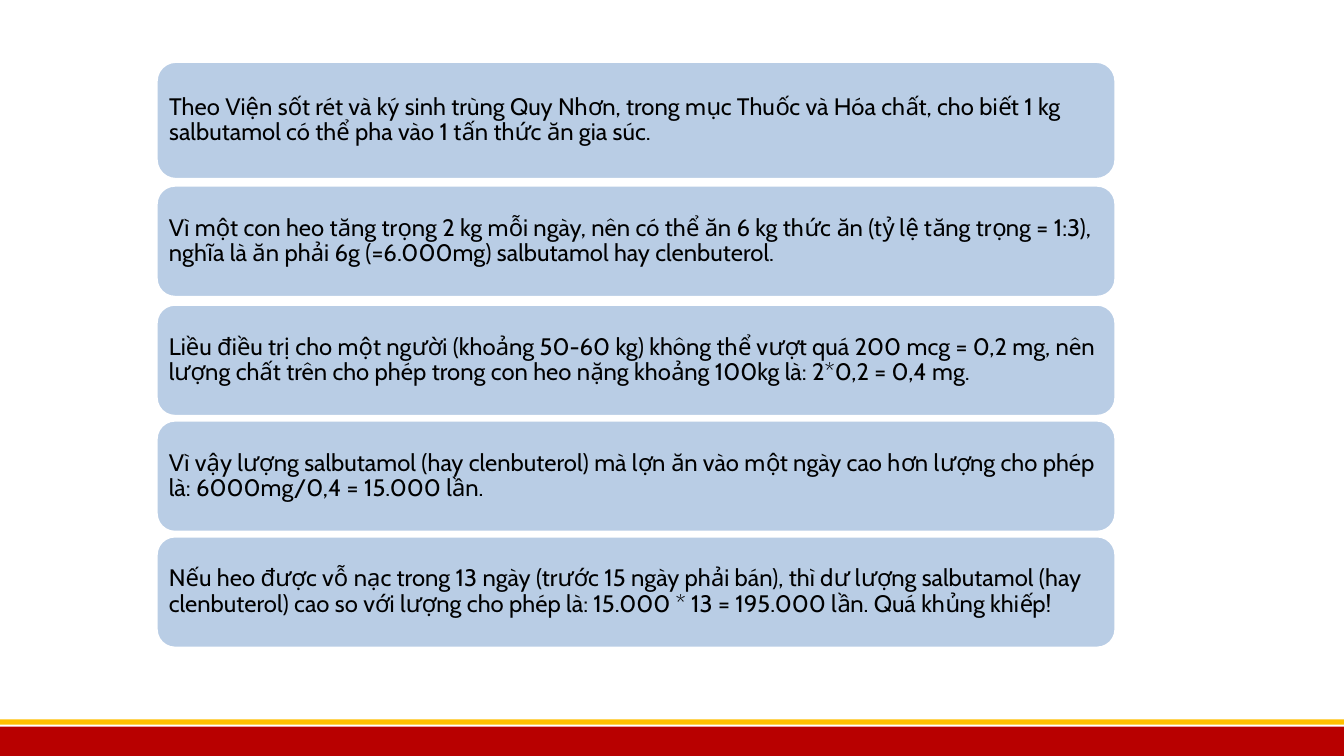
"""Builds a slide of five stacked text cards above a red and gold footer."""
from pptx import Presentation
from pptx.dml.color import RGBColor
from pptx.enum import shapes, text
from pptx.util import Cm, Pt

COLORS = {"red": "B80000", "gold": "FFC000", "card": "B9CDE5",
          "white": "FFFFFF", "black": "000000"}

CARDS = [
    (1.55, 2.97, "Theo Viện sốt rét và ký sinh trùng Quy Nhơn, trong mục Thuốc và Hóa chất, "
     "cho biết 1 kg salbutamol có thể pha vào 1 tấn thức ăn gia súc."),
    (4.67, 2.82, "Vì một con heo tăng trọng 2 kg mỗi ngày, nên có thể ăn 6 kg thức ăn "
     "(tỷ lệ tăng trọng = 1:3), nghĩa là ăn phải 6g (=6.000mg) salbutamol hay clenbuterol."),
    (7.67, 2.82, "Liều điều trị cho một người (khoảng 50-60 kg) không thể vượt quá "
     "200 mcg = 0,2 mg, nên lượng chất trên cho phép trong con heo nặng khoảng 100kg là: "
     "2*0,2 = 0,4 mg."),
    (10.59, 2.82, "Vì vậy lượng salbutamol (hay clenbuterol) mà lợn ăn vào một ngày cao hơn "
     "lượng cho phép là: 6000mg/0,4 = 15.000 lần."),
    (13.51, 2.82, "Nếu heo được vỗ nạc trong 13 ngày (trước 15 ngày phải bán), thì dư lượng "
     "salbutamol (hay clenbuterol) cao so với lượng cho phép là: 15.000 * 13 = 195.000 lần. "
     "Quá khủng khiếp!"),
]


def rgb(name):
    return RGBColor.from_string(COLORS[name])


def add_block(s, kind, left, top, width, height, fill):
    sp = s.shapes.add_shape(kind, Cm(left), Cm(top), Cm(width), Cm(height))
    sp.shadow.inherit = False
    sp.fill.solid()
    sp.fill.fore_color.rgb = rgb(fill)
    sp.line.fill.background()
    return sp


def write(p, words, *, font="Cabin", size=17, color="black", spacing=0.9):
    p.alignment = text.PP_ALIGN.LEFT
    p.line_spacing = spacing
    r = p.add_run()
    r.text = words
    r.font.name = font
    r.font.size = Pt(size)
    r.font.color.rgb = rgb(color)


def add_card(s, top, height, words):
    sp = add_block(s, shapes.MSO_SHAPE.ROUNDED_RECTANGLE, 3.94, top, 24.18, height, "card")
    sp.line.color.rgb = rgb("white")
    sp.line.width = Pt(2)
    tf = sp.text_frame
    tf.word_wrap = True
    tf.vertical_anchor = text.MSO_ANCHOR.MIDDLE
    tf.margin_left = tf.margin_right = tf.margin_top = tf.margin_bottom = Cm(0.18)
    write(tf.paragraphs[0], words)


def add_footer(s):
    for top, height, fill in ((18.31, 0.74, "red"), (18.13, 0.13, "gold")):
        add_block(s, shapes.MSO_SHAPE.RECTANGLE, 0, top, 33.87, height, fill)


def main():
    prs = Presentation()
    prs.slide_width, prs.slide_height = Cm(33.87), Cm(19.05)
    s = prs.slides.add_slide(prs.slide_layouts[6])
    add_footer(s)
    for top, height, words in CARDS:
        add_card(s, top, height, words)
    prs.save("out.pptx")


if __name__ == "__main__":
    main()
